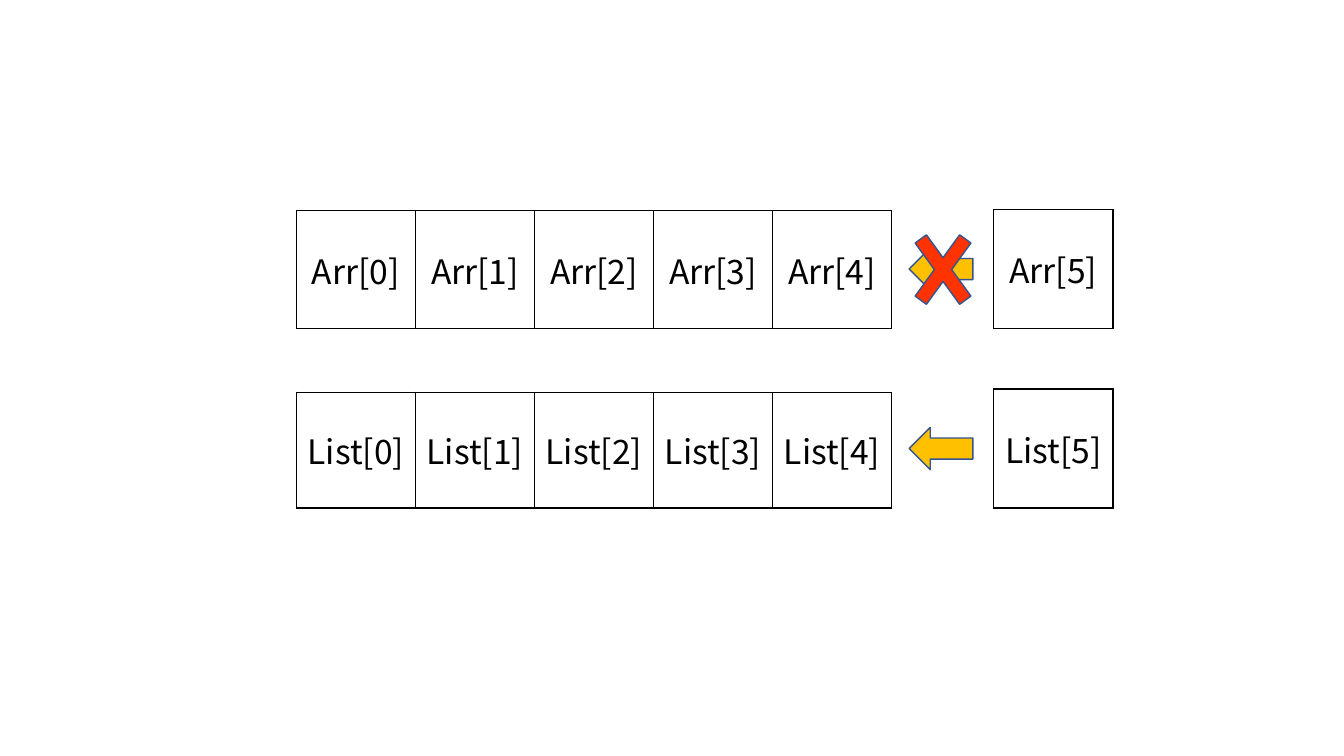
from dataclasses import dataclass

from lxml import etree
from pptx import Presentation
from pptx.dml.color import RGBColor
from pptx.enum.shapes import MSO_SHAPE
from pptx.enum.text import MSO_ANCHOR, PP_ALIGN
from pptx.oxml.ns import qn
from pptx.util import Pt

CENTER = PP_ALIGN.CENTER
MIDDLE = MSO_ANCHOR.MIDDLE
LEFT_ARROW = MSO_SHAPE.LEFT_ARROW
CROSS = MSO_SHAPE.MATH_MULTIPLY

COLORS = {
    "text": "000000",
    "border": "000000",
    "arrow": "FFC000",
    "cross": "FF3300",
    "outline": "325491",
}
FONT = "Noto Sans CJK KR"
CELL_WIDTH = 85.05
ROW_LEFT = 211.7
EXTRA_LEFT = 709.9
ARROW_LEFT = 649.4


@dataclass
class CellRow:
    name: str
    indices: range
    left: float
    top: float
    height: float


@dataclass
class Symbol:
    kind: MSO_SHAPE
    left: float
    top: float
    width: float
    height: float
    color: str
    thickness: float | None = None


CELL_ROWS = [
    CellRow("Arr", range(5), ROW_LEFT, 150.5, 84.3),
    CellRow("List", range(5), ROW_LEFT, 280.1, 82.8),
    CellRow("Arr", range(5, 6), EXTRA_LEFT, 149.7, 85),
    CellRow("List", range(5, 6), EXTRA_LEFT, 277.9, 85),
]
SYMBOLS = [
    Symbol(LEFT_ARROW, ARROW_LEFT, 177.1, 45.5, 30.2, "arrow"),
    Symbol(LEFT_ARROW, ARROW_LEFT, 305.3, 45.5, 30.2, "arrow"),
    Symbol(CROSS, 643, 150.5, 61.2, 84.2, "cross", 0.163),
]


def write_text(cell, text: str, *, size: float, color: str) -> None:
    paragraph = cell.text_frame.paragraphs[0]
    paragraph.alignment = CENTER
    run = paragraph.add_run()
    run.text = text
    run.font.name = FONT
    run.font.size = Pt(size)
    run.font.color.rgb = RGBColor.from_string(COLORS[color])


def add_borders(cell, width: float, color: str) -> None:
    properties = cell._tc.get_or_add_tcPr()
    for position, side in enumerate(("a:lnL", "a:lnR", "a:lnT", "a:lnB")):
        line = etree.Element(qn(side), w=str(Pt(width)))
        fill = etree.SubElement(line, qn("a:solidFill"))
        etree.SubElement(fill, qn("a:srgbClr"), val=COLORS[color])
        properties.insert(position, line)


def draw_cell_row(slide, row: CellRow) -> None:
    count = len(row.indices)
    table = slide.shapes.add_table(
        1, count, Pt(row.left), Pt(row.top), Pt(CELL_WIDTH * count), Pt(row.height)
    ).table
    table.first_row = False
    table.horz_banding = False
    for column, index in enumerate(row.indices):
        table.columns[column].width = Pt(CELL_WIDTH)
        cell = table.cell(0, column)
        cell.vertical_anchor = MIDDLE
        cell.margin_left = cell.margin_right = Pt(4)
        cell.fill.background()
        add_borders(cell, 1, "border")
        write_text(cell, f"{row.name}[{index}]", size=24, color="text")


def draw_symbol(slide, symbol: Symbol) -> None:
    shape = slide.shapes.add_shape(
        symbol.kind, Pt(symbol.left), Pt(symbol.top), Pt(symbol.width), Pt(symbol.height)
    )
    shape.shadow.inherit = False
    shape.fill.solid()
    shape.fill.fore_color.rgb = RGBColor.from_string(COLORS[symbol.color])
    shape.line.color.rgb = RGBColor.from_string(COLORS["outline"])
    shape.line.width = Pt(1)
    if symbol.thickness is not None:
        shape.adjustments[0] = symbol.thickness


def main() -> None:
    presentation = Presentation()
    presentation.slide_width = Pt(960)
    presentation.slide_height = Pt(540)
    slide = presentation.slides.add_slide(presentation.slide_layouts[6])
    for row in CELL_ROWS:
        draw_cell_row(slide, row)
    for symbol in SYMBOLS:
        draw_symbol(slide, symbol)
    presentation.save("out.pptx")


if __name__ == "__main__":
    main()
